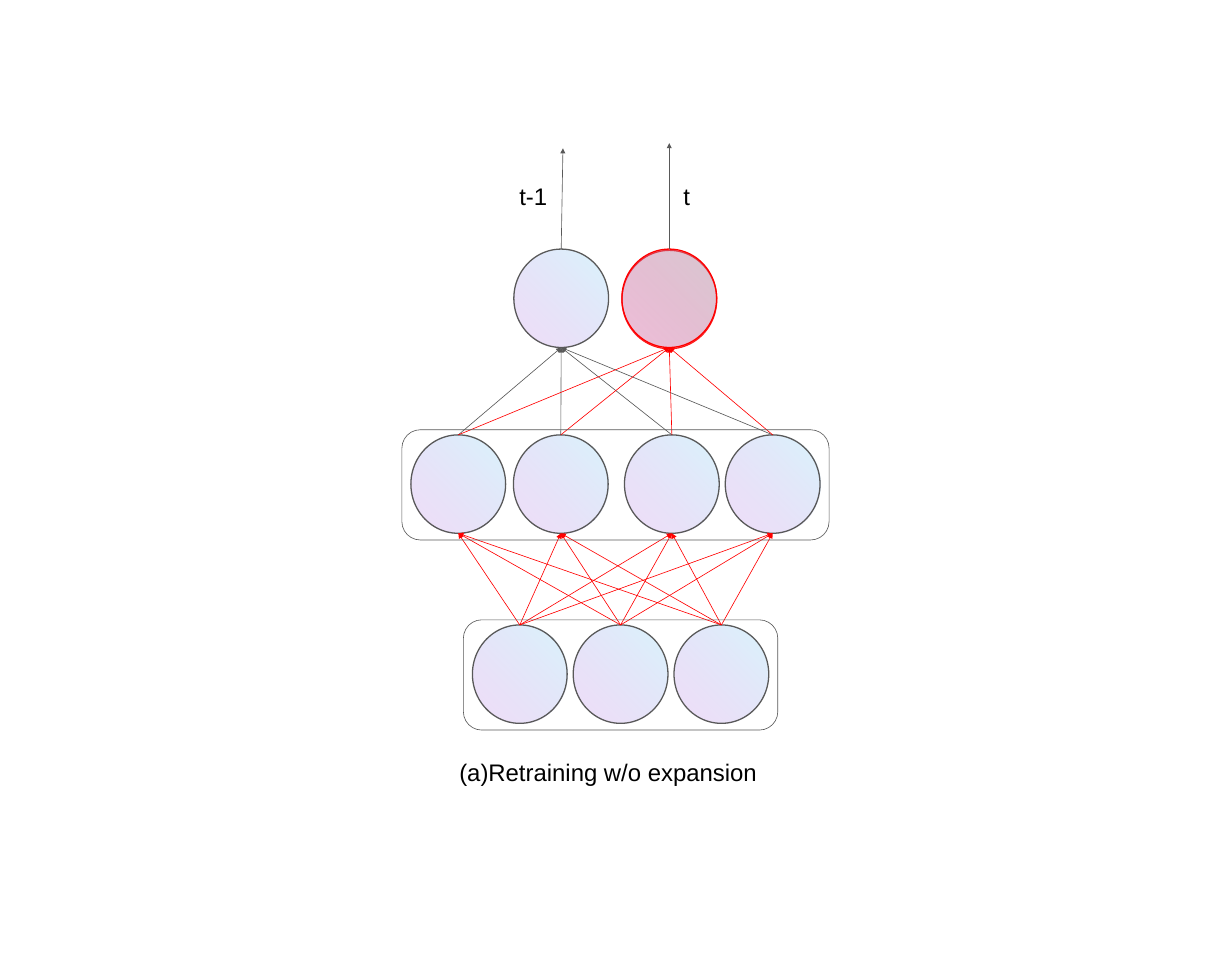
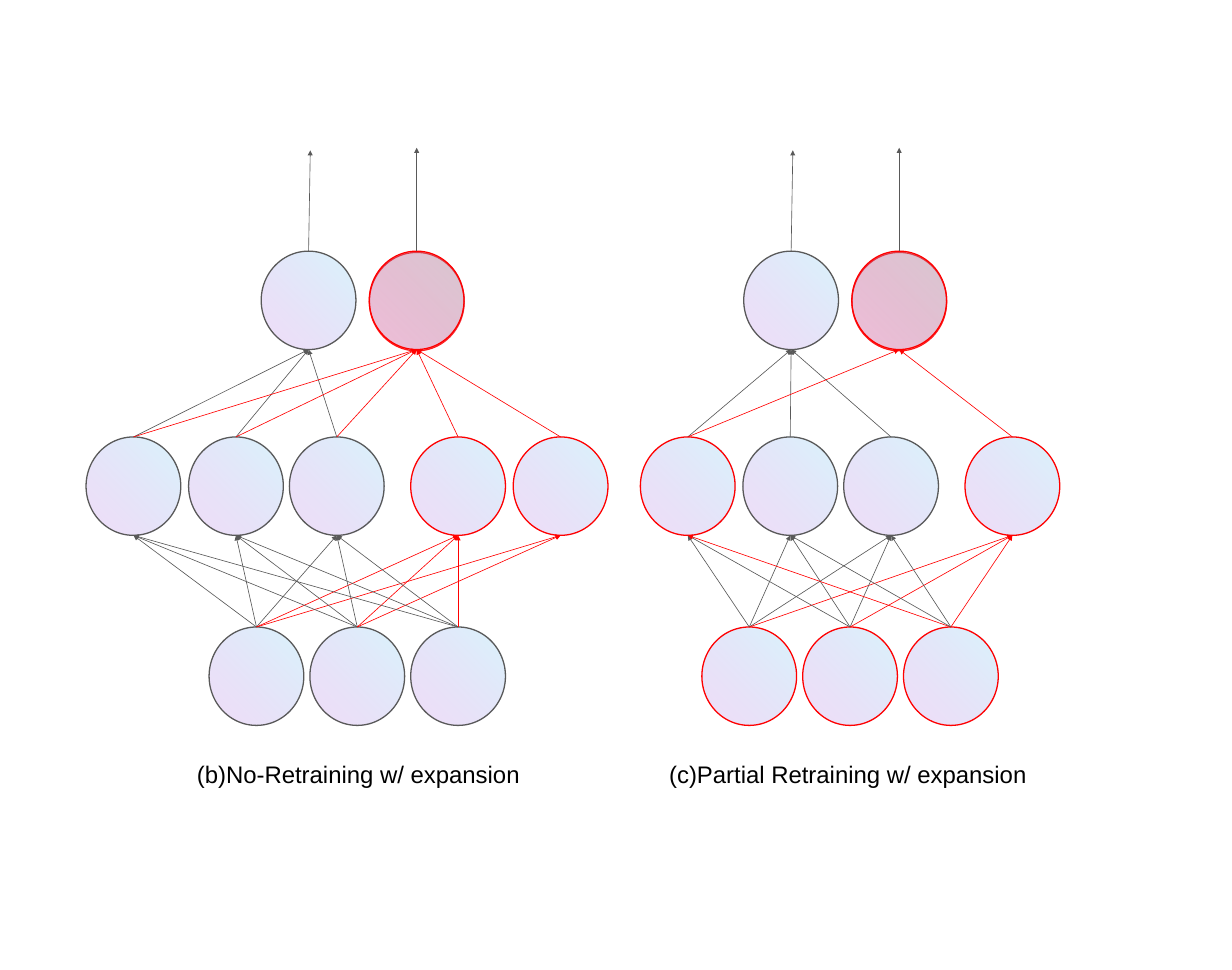
from dataclasses import dataclass
from itertools import product

from lxml.etree import SubElement
from pptx import Presentation
from pptx.dml.color import RGBColor
from pptx.enum.shapes import MSO_CONNECTOR, MSO_SHAPE
from pptx.enum.text import MSO_AUTO_SIZE
from pptx.oxml.ns import qn
from pptx.util import Pt

COLOURS = {
    "old": "595959",
    "trained": "FF0000",
    "sky": "69D4F4",
    "violet": "9F39D5",
    "text": "000000",
}
FONT, TEXT_SIZE, INSET = "Arial", 28, 14.4

# Node size, and the tops of the rows below the output row
NODE_WIDTH, NODE_HEIGHT = 110.9, 115.2
HIDDEN_TOP, INPUT_TOP, CAPTION_TOP = 217.5, 440, 581
INPUT_CENTRES = [118 * index for index in range(3)]
OUTPUT_GAP = 126.5
LABEL_TOP = -93


@dataclass
class Network:
    """Centres are measured from the centre of the first input node."""
    caption: str
    number: int
    caption_left: float
    caption_width: float
    hidden: list
    first_output: float
    links: dict           # (input, hidden) -> colour name
    old_sources: list     # hidden nodes feeding task t-1
    new_sources: list     # hidden nodes feeding task t
    trained_hidden: tuple = ()
    inputs: str = "old"
    rises: tuple = (118, 121)
    framed: bool = False
    labels: tuple = ()


def colour(name):
    return RGBColor.from_string(COLOURS[name])


def add_node(page, centre, top, outline, glow=False):
    node = page.shapes.add_shape(
        MSO_SHAPE.OVAL, Pt(centre - NODE_WIDTH / 2), Pt(top),
        Pt(NODE_WIDTH), Pt(NODE_HEIGHT))
    node.shadow.inherit = False
    # Translucent gradient from the top right to the bottom left
    node.fill.gradient()
    node.fill.gradient_angle = 225
    for stop, name in zip(node.fill.gradient_stops, ("sky", "violet")):
        stop.color.rgb = colour(name)
    properties = node._element.spPr
    for tint, alpha in zip(properties.iter(qn("a:srgbClr")), (26, 17)):
        SubElement(tint, qn("a:alpha"), val=str(alpha * 1000))
    node.line.color.rgb = colour(outline)
    node.line.width = Pt(1.5)
    if glow:
        shadow = SubElement(
            properties.find(qn("a:effectLst")), qn("a:outerShdw"),
            blurRad="0", dist=str(Pt(1.5)), dir=str(85 * 60000),
            algn="bl", rotWithShape="0")
        tint = SubElement(shadow, qn("a:srgbClr"), val=COLOURS["trained"])
        SubElement(tint, qn("a:alpha"), val="89000")
    return node


def add_arrow(page, source, end_x, end_y, name):
    """Draw an arrow from the top of the source node to a point."""
    arrow = page.shapes.add_connector(
        MSO_CONNECTOR.STRAIGHT, source.left, source.top, end_x, end_y)
    arrow.begin_connect(source, 0)
    arrow.line.color.rgb = colour(name)
    arrow.line.width = Pt(0.75)
    SubElement(arrow.line._get_or_add_ln(), qn("a:tailEnd"), type="triangle")
    SubElement(arrow._element.spPr, qn("a:effectLst"))


def link_nodes(page, source, target, name):
    add_arrow(page, source, target.left + target.width // 2,
              target.top + target.height, name)


def add_frame(page, centres, top):
    """Draw a rounded outline around a row of nodes."""
    margin = 66
    frame = page.shapes.add_shape(
        MSO_SHAPE.ROUNDED_RECTANGLE, Pt(centres[0] - margin), Pt(top - 6),
        Pt(centres[-1] - centres[0] + 2 * margin), Pt(129))
    frame.shadow.inherit = False
    frame.fill.background()
    frame.line.color.rgb = colour("old")
    frame.line.width = Pt(0.75)


def add_text(page, left, top, width, text):
    box = page.shapes.add_textbox(Pt(left), Pt(top), Pt(width), Pt(62.6))
    frame = box.text_frame
    frame.word_wrap = True
    frame.auto_size = MSO_AUTO_SIZE.SHAPE_TO_FIT_TEXT
    frame.margin_left = frame.margin_right = Pt(INSET)
    frame.margin_top = frame.margin_bottom = Pt(INSET)
    para = frame.paragraphs[0]
    span = para.add_run()
    span.text = text
    span.font.name = FONT
    span.font.size = Pt(TEXT_SIZE)
    span.font.color.rgb = colour("text")
    return para


def add_caption(page, left, top, network):
    para = add_text(page, left + network.caption_left, top + CAPTION_TOP,
                    network.caption_width, network.caption)
    settings = para._p.get_or_add_pPr()
    settings.set("marL", str(Pt(36)))
    settings.set("indent", str(Pt(-25.2)))
    tint = SubElement(settings, qn("a:buClr"))
    SubElement(tint, qn("a:srgbClr"), val=COLOURS["text"])
    SubElement(settings, qn("a:buFont"), typeface=FONT)
    SubElement(settings, qn("a:buAutoNum"), type="alphaLcParenBoth",
               startAt=str(network.number))


def draw_network(page, left, top, network):
    """Left is the first input's centre, top is the top of the outputs."""
    input_centres = [left + centre for centre in INPUT_CENTRES]
    hidden_centres = [left + centre for centre in network.hidden]
    output_centres = [left + network.first_output + OUTPUT_GAP * index
                      for index in range(2)]

    # Nodes
    inputs = [add_node(page, centre, top + INPUT_TOP, network.inputs)
              for centre in input_centres]
    hidden = [add_node(page, centre, top + HIDDEN_TOP,
                       "trained" if index in network.trained_hidden else "old")
              for index, centre in enumerate(hidden_centres)]
    old_task = add_node(page, output_centres[0], top, "old")
    new_task = add_node(page, output_centres[1], top, "trained", glow=True)

    # Links between the layers
    for (source, target), name in network.links.items():
        link_nodes(page, inputs[source], hidden[target], name)
    for index in network.old_sources:
        link_nodes(page, hidden[index], old_task, "old")
    for index in network.new_sources:
        link_nodes(page, hidden[index], new_task, "trained")

    # Output arrows; the first leans slightly to the right
    for node, centre, lean, rise in zip(
            (old_task, new_task), output_centres, (2, 0), network.rises):
        add_arrow(page, node, Pt(centre + lean), Pt(top - rise), "old")

    # Frames, labels and caption
    if network.framed:
        add_frame(page, hidden_centres, top + HIDDEN_TOP)
        add_frame(page, input_centres, top + INPUT_TOP)
    for offset, text in network.labels:
        add_text(page, left + offset, top + LABEL_TOP, 87, text)
    add_caption(page, left, top, network)


def make_links(hidden_count, is_trained):
    return {pair: "trained" if is_trained(*pair) else "old"
            for pair in product(range(3), range(hidden_count))}


def build_networks():
    retraining = Network(
        "Retraining w/o expansion", 1, -96, 427,
        hidden=[-72, 48, 178, 296], first_output=48.5,
        links=make_links(4, lambda source, target: True),
        old_sources=[0, 1, 2, 3], new_sources=[0, 1, 2, 3],
        rises=(118, 124), framed=True, labels=((-15, "t-1"), (177, "t")))

    expansion_links = make_links(5, lambda source, target: target >= 3)
    del expansion_links[2, 4]
    expansion = Network(
        "No-Retraining w/ expansion", 2, -95, 456,
        hidden=[-144, -24, 94, 236, 356], first_output=61,
        links=expansion_links,
        old_sources=[0, 1, 2], new_sources=[0, 1, 2, 3, 4],
        trained_hidden=(3, 4))

    partial = Network(
        "Partial Retraining w/ expansion", 3, -119, 495,
        hidden=[-72, 48, 166, 308], first_output=49,
        links=make_links(4, lambda source, target:
                         target == 3 or (source, target) == (2, 0)),
        old_sources=[0, 1, 2], new_sources=[0, 3],
        trained_hidden=(0, 3), inputs="trained")
    return retraining, expansion, partial


def main():
    deck = Presentation()
    deck.slide_width, deck.slide_height = Pt(1442), Pt(1135.5)
    retraining, expansion, partial = build_networks()
    layouts = [
        [(608.4, 291.6, retraining)],
        [(300.2, 294, expansion), (877, 294, partial)],
    ]
    for placements in layouts:
        page = deck.slides.add_slide(deck.slide_layouts[6])
        for left, top, network in placements:
            draw_network(page, left, top, network)
    deck.save("out.pptx")


if __name__ == "__main__":
    main()
